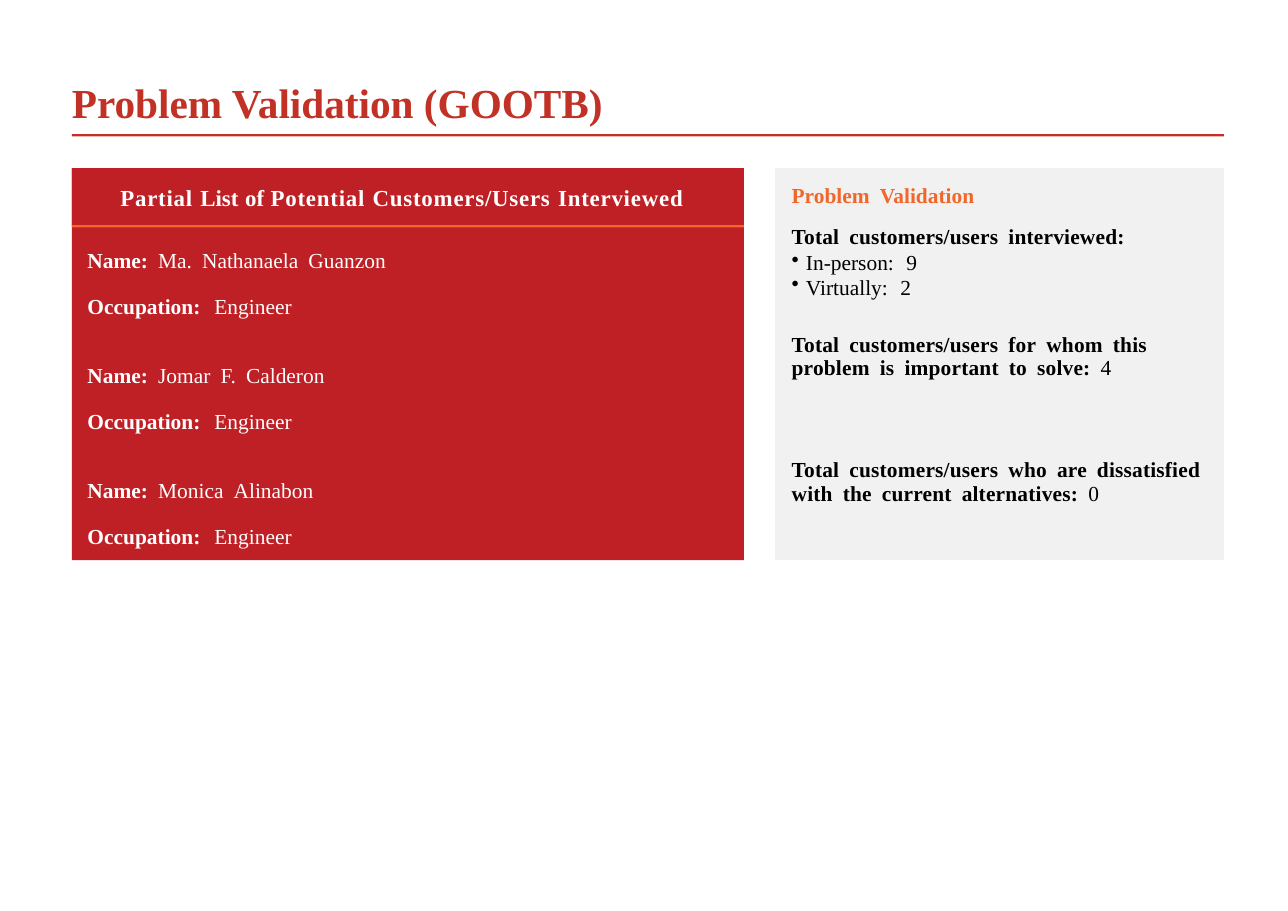
import itertools

import lxml.etree
import pptx
import pptx.dml.color
import pptx.enum.shapes
import pptx.enum.text
import pptx.oxml.ns
import pptx.util

Cm = pptx.util.Cm
Pt = pptx.util.Pt
FONT = "Times New Roman"
RED, TITLE_RED, ORANGE = "BE2025", "C13125", "F16629"
WHITE, BLACK, GREY = "FFFFFF", "000000", "F1F1F1"
WORD_GAP, VALUE_GAP = 3, 5.5
PEOPLE = [
    ("Ma. Nathanaela Guanzon", "Engineer"),
    ("Jomar F. Calderon", "Engineer"),
    ("Monica Alinabon", "Engineer"),
]


def color(value):
    """Return the colour of a hex string."""
    return pptx.dml.color.RGBColor.from_string(value)


def add_panel(slide, box, fill):
    """Add a plain filled rectangle."""
    shape = slide.shapes.add_shape(
        pptx.enum.shapes.MSO_SHAPE.RECTANGLE, *[Cm(length) for length in box])
    shape.shadow.inherit = False
    shape.fill.solid()
    shape.fill.fore_color.rgb = color(fill)
    shape.line.fill.background()
    return shape


def add_text_box(slide, box):
    """Add an empty text box."""
    return slide.shapes.add_textbox(*[Cm(length) for length in box])


def set_frame(shape, left=0, top=0, right=0, anchor="TOP"):
    """Set the insets, wrapping and anchor of a shape's text, and return its frame."""
    frame = shape.text_frame
    settings = {
        "margin_left": Cm(left), "margin_top": Cm(top),
        "margin_right": Cm(right), "margin_bottom": 0, "word_wrap": True,
        "vertical_anchor": getattr(pptx.enum.text.MSO_ANCHOR, anchor),
    }
    for name, value in settings.items():
        setattr(frame, name, value)
    return frame


def add_bullet(paragraph, indent):
    """Give a paragraph a hanging round bullet."""
    properties = paragraph._p.get_or_add_pPr()
    properties.set("marL", str(Cm(indent)))
    properties.set("indent", str(-Cm(indent)))
    bullet = lxml.etree.SubElement(properties, pptx.oxml.ns.qn("a:buChar"))
    bullet.set("char", "•")


def add_words(paragraph, text, bold, gap, spacing):
    """Add text whose spaces are widened by gap and letters by spacing, in points."""
    for is_space, characters in itertools.groupby(text, str.isspace):
        run = paragraph.add_run()
        run.text = "".join(characters)
        run.font.bold = bold
        extra = gap if is_space else spacing
        if extra:
            run._r.get_or_add_rPr().set("spc", str(round(extra * 100)))


def add_paragraph(frame, pieces, size, fill, before=0, line=None, bullet=None):
    """Add a paragraph made of (text, bold, gap, spacing) pieces."""
    first = frame.paragraphs[0]
    paragraph = frame.add_paragraph() if first.runs else first
    if bullet:
        add_bullet(paragraph, bullet)
    settings = {"alignment": pptx.enum.text.PP_ALIGN.LEFT, "space_before": Pt(before)}
    if line:
        settings["line_spacing"] = Pt(line)
    for name, value in settings.items():
        setattr(paragraph, name, value)
    for name, value in {"name": FONT, "size": Pt(size)}.items():
        setattr(paragraph.font, name, value)
    for piece in pieces:
        add_words(paragraph, *piece)
    for run in paragraph.runs:
        for name, value in {"name": FONT, "size": Pt(size)}.items():
            setattr(run.font, name, value)
        run.font.color.rgb = color(fill)


def add_title(slide, box):
    """Place the slide title above its rule."""
    left, top, width, height = box
    frame = set_frame(add_text_box(slide, (left, top, width, height - 0.05)))
    add_paragraph(frame, [("Problem Validation (GOOTB)", True, 0, 0)], 27, TITLE_RED)
    add_panel(slide, (left, top + height - 0.05, width, 0.05), TITLE_RED)


def add_interviews(slide, box):
    """Place the list of interviewed people under its heading."""
    left, top, width, height = box
    heading_height = 1.34
    add_panel(slide, box, RED)
    heading = add_panel(slide, (left, top, width, heading_height), RED)
    add_panel(slide, (left, top + heading_height - 0.02, width, 0.05), ORANGE)
    frame = set_frame(heading, left=1.12, anchor="MIDDLE")
    add_paragraph(frame, [
        ("Partial ", True, 0.9, 0.5),
        ("List of ", True, 0.5, 0),
        ("Potential Customers/Users Interviewed", True, 0.9, 0.5),
    ], 15, WHITE)

    names_top = heading_height + 0.48
    frame = set_frame(add_text_box(
        slide, (left + 0.36, top + names_top, width - 0.72, height - names_top)))
    for index, (name, occupation) in enumerate(PEOPLE):
        add_paragraph(frame, [("Name: ", True, WORD_GAP, 0), (name, False, WORD_GAP, 0)],
                      14, WHITE, before=28.6 if index else 0)
        add_paragraph(frame, [("Occupation: ", True, VALUE_GAP, 0),
                              (occupation, False, 0, 0)], 14, WHITE, before=13.2)


def add_validation(slide, box):
    """Place the panel of interview totals."""
    frame = set_frame(add_panel(slide, box, GREY), left=0.38, top=0.33, right=0.25)
    add_paragraph(frame, [("Problem Validation", True, WORD_GAP, 0)], 14, ORANGE)
    add_paragraph(frame, [("Total customers/users interviewed:", True, WORD_GAP, 0.1)],
                  14, BLACK, before=9.8)
    for label, count, before in [("In-person: ", "9", 1), ("Virtually: ", "2", 0)]:
        add_paragraph(frame, [(label, False, VALUE_GAP - 1, 0), (count, False, 0, 0)],
                      14, BLACK, before=before, line=16.1, bullet=0.33)
    totals = [
        ("Total customers/users for whom this problem is important to solve: ", "4", 21.9),
        ("Total customers/users who are dissatisfied with the current alternatives: ",
         "0", 51.4),
    ]
    for label, count, before in totals:
        add_paragraph(frame, [(label, True, WORD_GAP, 0.1), (count, False, 0, 0)],
                      14, BLACK, before=before, line=15.4)


def main():
    """Build the slide and save it."""
    presentation = pptx.Presentation()
    presentation.slide_width = Cm(29.74)
    presentation.slide_height = Cm(21.03)
    slide = presentation.slides.add_slide(presentation.slide_layouts[6])
    add_title(slide, (1.66, 1.78, 26.6, 1.37))
    add_interviews(slide, (1.66, 3.88, 15.52, 9.05))
    add_validation(slide, (17.9, 3.88, 10.36, 9.05))
    presentation.save("out.pptx")


if __name__ == "__main__":
    main()
